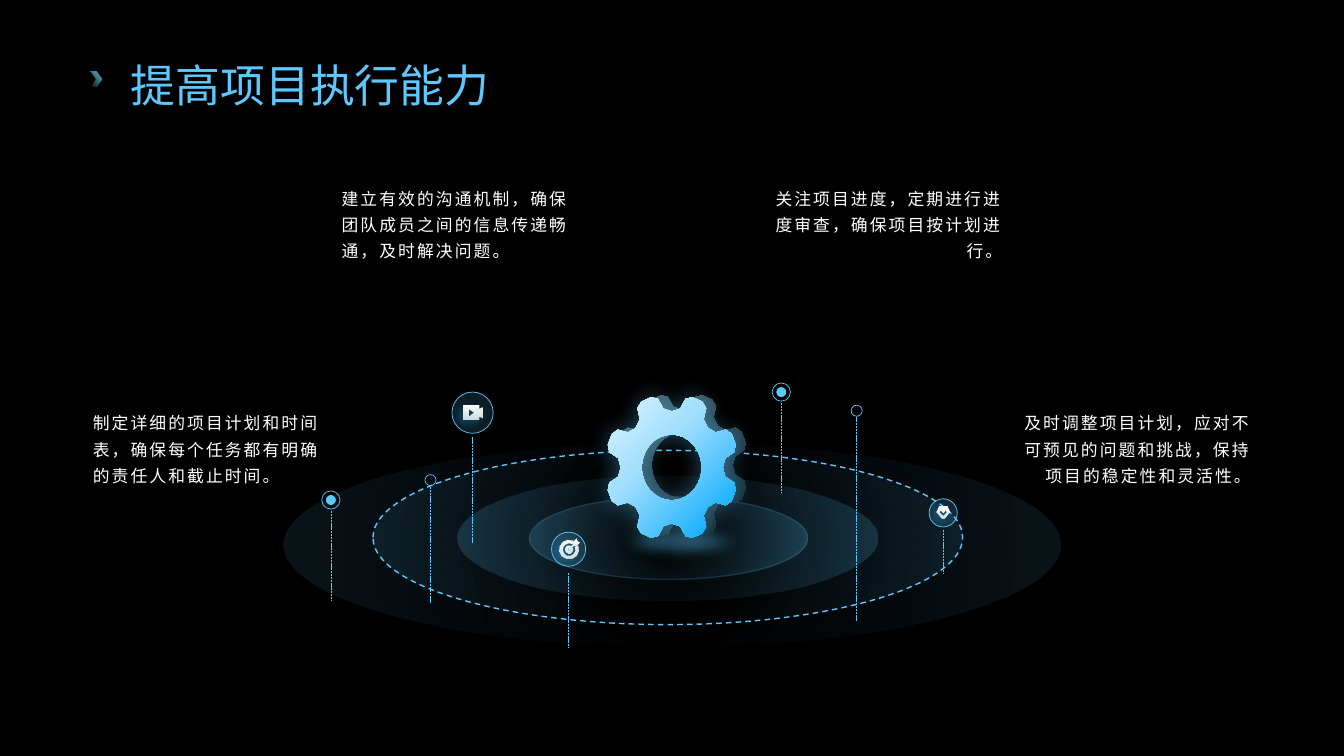
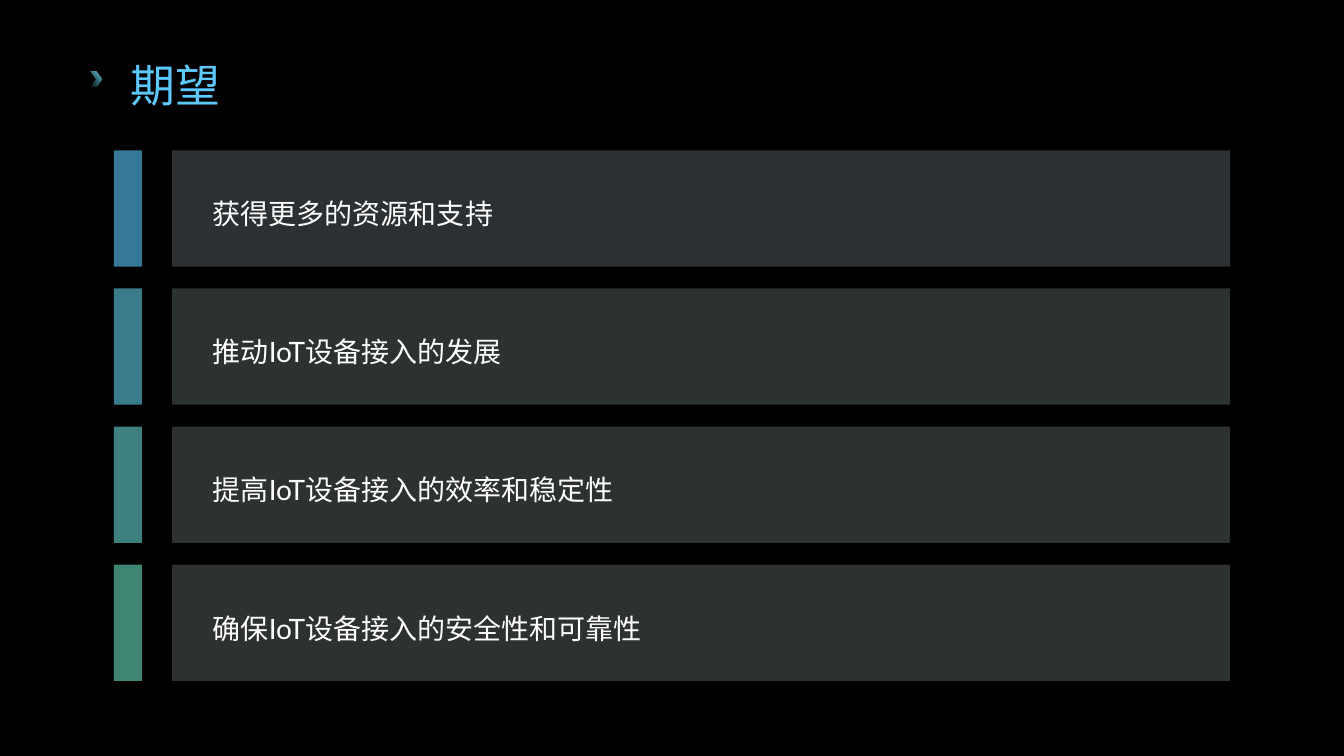
from math import cos, radians, sin

from pptx import Presentation
from pptx.dml.color import RGBColor
from pptx.enum.dml import MSO_LINE
from pptx.enum.shapes import MSO_CONNECTOR, MSO_SHAPE
from pptx.enum.text import MSO_ANCHOR, PP_ALIGN
from pptx.oxml import parse_xml
from pptx.oxml.ns import nsdecls, qn
from pptx.util import Cm, Pt

OVAL, RECT, CHEVRON = MSO_SHAPE.OVAL, MSO_SHAPE.RECTANGLE, MSO_SHAPE.CHEVRON
STRAIGHT = MSO_CONNECTOR.STRAIGHT
DASH, FINE_DASH = MSO_LINE.DASH, MSO_LINE.SQUARE_DOT
TOP, MIDDLE = MSO_ANCHOR.TOP, MSO_ANCHOR.MIDDLE
LEFT, RIGHT = PP_ALIGN.LEFT, PP_ALIGN.RIGHT

BLACK, WHITE, BLUE, CYAN = "000000", "FFFFFF", "5DC8FD", "62CFE9"
DEEP_BLUE = "08ABFC"
TITLE_FONT = {"name": "Lato", "size": Pt(32)}
NOTE_FONT = {"name": "Lato", "size": Pt(12)}
ROW_FONT = {"name": "Lato", "size": Pt(20)}

# Stops are (position, colour, opacity), all in percent.
ICON_STOPS = [(0, WHITE, 100), (100, WHITE, 80)]
GEAR_STOPS = [(0, "DFF4FF", 100), (40, "9EDEFE", 100),
              (64, BLUE, 100), (92, DEEP_BLUE, 100)]
GEAR_SIDE_STOPS = [(0, "4A6B7A", 100), (100, "0E2530", 100)]


def rgb(color):
    return RGBColor.from_string(color)


def color_xml(color, opacity):
    return f'<a:srgbClr val="{color}"><a:alpha val="{opacity * 1000}"/></a:srgbClr>'


def paint(fill, parent, stops, angle=None):
    """Fill with one colour, a linear gradient (angle given) or a radial one."""
    if len(stops) == 1:
        xml = f'<a:solidFill {nsdecls("a")}>{color_xml(*stops[0][1:])}</a:solidFill>'
    else:
        marks = "".join(
            f'<a:gs pos="{position * 1000}">{color_xml(color, opacity)}</a:gs>'
            for position, color, opacity in stops)
        if angle is None:
            course = ('<a:path path="circle"><a:fillToRect l="50000" t="50000" '
                      'r="50000" b="50000"/></a:path>')
        else:
            course = f'<a:lin ang="{angle * 60000}" scaled="0"/>'
        xml = (f'<a:gradFill {nsdecls("a")} rotWithShape="1">'
               f'<a:gsLst>{marks}</a:gsLst>{course}</a:gradFill>')
    fill.background()
    parent.replace(parent.find(qn("a:noFill")), parse_xml(xml))


def style(shape, stops=None, angle=None, line=None):
    """Set fill and outline; line is (width in points, opacity, dash)."""
    shape.shadow.inherit = False
    properties = shape._element.spPr
    if stops:
        paint(shape.fill, properties, stops, angle)
    else:
        shape.fill.background()
    shape.line.fill.background()
    if line:
        width, opacity, dash = line
        shape.line.width = Pt(width)
        paint(shape.line.fill, properties.find(qn("a:ln")), [(0, BLUE, opacity)])
        if dash:
            shape.line.dash_style = dash
    return shape


def add_figure(page, kind, box, stops=None, angle=None, line=None):
    shape = page.shapes.add_shape(kind, *map(Cm, box))
    return style(shape, stops, angle, line)


def add_effect(shape, xml):
    shape._element.spPr.find(qn("a:effectLst")).append(parse_xml(xml))


def add_glow_shadow(shape, color, blur, distance, direction):
    add_effect(shape, f'<a:outerShdw {nsdecls("a")} blurRad="{Pt(blur)}" '
                      f'dist="{Pt(distance)}" dir="{direction * 60000}" algn="ctr" '
                      f'rotWithShape="0">{color_xml(color, 40)}</a:outerShdw>')


def add_outline(page, center, contours, stops, angle, stretch=1):
    """Closed contours around a centre; inner contours become holes."""
    x, y = center
    builder = None
    for contour in contours:
        points = [(Cm(x + dx * stretch), Cm(y + dy)) for dx, dy in contour]
        if builder is None:
            builder = page.shapes.build_freeform(*points[0])
        else:
            builder.move_to(*points[0])
        builder.add_line_segments(points[1:], close=True)
    return style(builder.convert_to_shape(), stops, angle)


def write(shape, text, format, spacing, align=LEFT, anchor=TOP,
          insets=(0, 0, 0, 0), color=WHITE, tracking=0):
    frame = shape.text_frame
    frame.word_wrap = True
    frame.vertical_anchor = anchor
    for side, inset in zip(("left", "top", "right", "bottom"), insets):
        setattr(frame, f"margin_{side}", Cm(inset))
    para = frame.paragraphs[0]
    para.alignment = align
    para.line_spacing = spacing
    span = para.add_run()
    span.text = text
    for name, value in format.items():
        setattr(span.font, name, value)
    span.font.color.rgb = rgb(color)
    if tracking:
        span._r.get_or_add_rPr().set("spc", str(tracking))


def add_page(deck, title):
    page = deck.slides.add_slide(deck.slide_layouts[6])
    add_figure(page, CHEVRON, (2.28, 1.8, 0.29, 0.38),
               [(0, CYAN, 0), (100, CYAN, 100)], 315)
    box = page.shapes.add_textbox(Cm(3.05), Cm(1.14), Cm(29.11), Cm(1.7))
    write(box, title, TITLE_FONT, 1.2, anchor=MIDDLE,
          insets=(0.25, 0, 0.25, 0), color=BLUE)
    return page


def polar(radius, angle):
    """Point at an angle in degrees, clockwise from the top."""
    return radius * sin(radians(angle)), -radius * cos(radians(angle))


def arc(radius, start, end, step):
    return [polar(radius, angle) for angle in range(start, end + 1, step)]


def gear_contours():
    teeth, pitch = 8, 45
    flank = [(0, 1.41), (9, 1.5), (12.5, 1.77), (18, 1.86)]
    tooth = flank + [(pitch - angle, radius) for angle, radius in flank[:0:-1]]
    rim = [polar(radius, angle + pitch * index)
           for index in range(teeth) for angle, radius in tooth]
    return [rim, arc(0.83, 0, 348, 12)]


def camera_contours():
    body = [(-0.24, -0.18), (0.14, -0.18), (0.14, -0.1), (0.24, -0.14),
            (0.24, 0.14), (0.14, 0.1), (0.14, 0.18), (-0.24, 0.18)]
    return [body, [(-0.11, -0.09), (0.02, 0), (-0.11, 0.09)]]


def target_contours():
    gap_end, gap_start, step = 65, 385, 32
    ring = (arc(0.24, gap_end, gap_start, step)
            + arc(0.15, gap_end, gap_start, step)[::-1])
    core = arc(0.1, gap_end, gap_start, step) + [(-0.04, 0.04)]
    arrow = [(-0.03, -0.01), (0.09, -0.12), (0.08, -0.17), (0.18, -0.27),
             (0.2, -0.2), (0.27, -0.18), (0.17, -0.08), (0.12, -0.09), (0.01, 0.03)]
    return [ring, core, arrow]


def gem_contours():
    stone = [(-0.1, -0.15), (0.1, -0.15), (0.17, -0.02),
             (0.02, 0.15), (-0.02, 0.15), (-0.17, -0.02)]
    check = [(-0.09, -0.02), (0, 0.07), (0.09, -0.02),
             (0.06, -0.05), (0, 0.01), (-0.06, -0.05)]
    return [stone, check]


def add_circle(page, x, y, size, stops=None):
    return add_figure(page, OVAL, (x - size / 2, y - size / 2, size, size),
                      stops, line=(0.5, 100, None))


def add_pin(page, x, top, size, start, end, mark=None):
    """Circle on a dashed stem; mark is None, "dot" or the contours of an icon."""
    stem = page.shapes.add_connector(STRAIGHT, Cm(x), Cm(start), Cm(x), Cm(end))
    stem.line.color.rgb = rgb(BLUE)
    stem.line.width = Pt(0.5)
    stem.line.dash_style = FINE_DASH
    stem._element.spPr.append(parse_xml(f'<a:effectLst {nsdecls("a")}/>'))
    y = top + size / 2
    has_icon = mark not in (None, "dot")
    add_circle(page, x, y, size, [(0, BLUE, 15)] if has_icon else None)
    if mark == "dot":
        add_circle(page, x, y, size / 2, [(0, BLUE, 100)])
    elif has_icon:
        icon = add_outline(page, (x, y), mark, ICON_STOPS, 90)
        add_glow_shadow(icon, DEEP_BLUE, 6, 3, 135)


def add_platform(page):
    rings = [
        ((7.14, 11.15, 19.58, 5.13), 25, 10, None),
        ((9.4, 11.35, 14.86, 4.39), 25, 10, (1, 100, DASH)),
        ((11.53, 11.99, 10.59, 3.15), 0, 20, None),
        ((13.34, 12.52, 7.01, 2.08), 0, 20, (1, 15, None)),
    ]
    for box, clear_until, opacity, line in rings:
        add_figure(page, OVAL, box,
                   [(clear_until, BLUE, 0), (100, BLUE, opacity)], line=line)
    glow = add_figure(page, OVAL, (15.16, 13.06, 4.04, 1.19), [(0, BLUE, 40)])
    add_effect(glow, f'<a:softEdge {nsdecls("a")} rad="{Pt(10)}"/>')


def add_gear(page):
    x, y, stretch = 16.93, 11.78, 0.91
    contours = gear_contours()
    add_outline(page, (x + 0.25, y - 0.05), contours, GEAR_SIDE_STOPS, 45, stretch)
    face = add_outline(page, (x, y), contours, GEAR_STOPS, 45, stretch)
    add_glow_shadow(face, BLUE, 17, 0, 0)


def build_execution(deck):
    page = add_page(deck, "提高项目执行能力")
    add_platform(page)
    pins = [
        (8.34, 12.37, 0.46, 12.88, 15.14, "dot"),
        (21.59, 10.21, 0.28, 10.52, 15.65),
        (11.91, 9.88, 1.04, 11, 13.69, camera_contours()),
        (19.69, 9.65, 0.46, 10.16, 12.42, "dot"),
        (10.85, 11.96, 0.28, 12.27, 15.21),
        (23.77, 12.57, 0.71, 13.36, 14.45, gem_contours()),
        (14.33, 13.41, 0.86, 14.43, 16.33, target_contours()),
    ]
    for pin in pins:
        add_pin(page, *pin)
    add_gear(page)
    upper, lower = 4.6, 10.26
    notes = [
        (2.34, lower, LEFT, "制定详细的项目计划和时间表，确保每个任务都有明确的责任人和截止时间。"),
        (25.78, lower, RIGHT, "及时调整项目计划，应对不可预见的问题和挑战，保持项目的稳定性和灵活性。"),
        (19.51, upper, RIGHT, "关注项目进度，定期进行进度审查，确保项目按计划进行。"),
        (8.61, upper, LEFT, "建立有效的沟通机制，确保团队成员之间的信息传递畅通，及时解决问题。"),
    ]
    for left, top, align, text in notes:
        box = page.shapes.add_textbox(Cm(left), Cm(top), Cm(5.75), Cm(2.16))
        write(box, text, NOTE_FONT, 1.3, align, tracking=150)


def build_expectations(deck):
    page = add_page(deck, "期望")
    rows = [
        ("DFF4FF", BLUE, "获得更多的资源和支持"),
        ("E0F5FB", CYAN, "推动IoT设备接入的发展"),
        ("E1F7F7", "67D6D5", "提高IoT设备接入的效率和稳定性"),
        ("E1F8F3", "6BDCC1", "确保IoT设备接入的安全性和可靠性"),
    ]
    first_top, pitch, height = 3.79, 3.48, 2.93
    for index, (pale, accent, text) in enumerate(rows):
        top = first_top + pitch * index
        bar = add_figure(page, RECT, (4.34, top, 26.66, height), [(0, pale, 20)])
        write(bar, text, ROW_FONT, 1.3, anchor=MIDDLE, insets=(1.02, 0.13, 0.65, 0.13))
        add_figure(page, RECT, (2.87, top, 0.71, height), [(0, accent, 60)])


def main():
    deck = Presentation()
    deck.slide_width, deck.slide_height = Cm(33.87), Cm(19.05)
    backdrop = deck.slide_master.background.fill
    backdrop.solid()
    backdrop.fore_color.rgb = rgb(BLACK)
    build_execution(deck)
    build_expectations(deck)
    deck.save("out.pptx")


if __name__ == "__main__":
    main()
